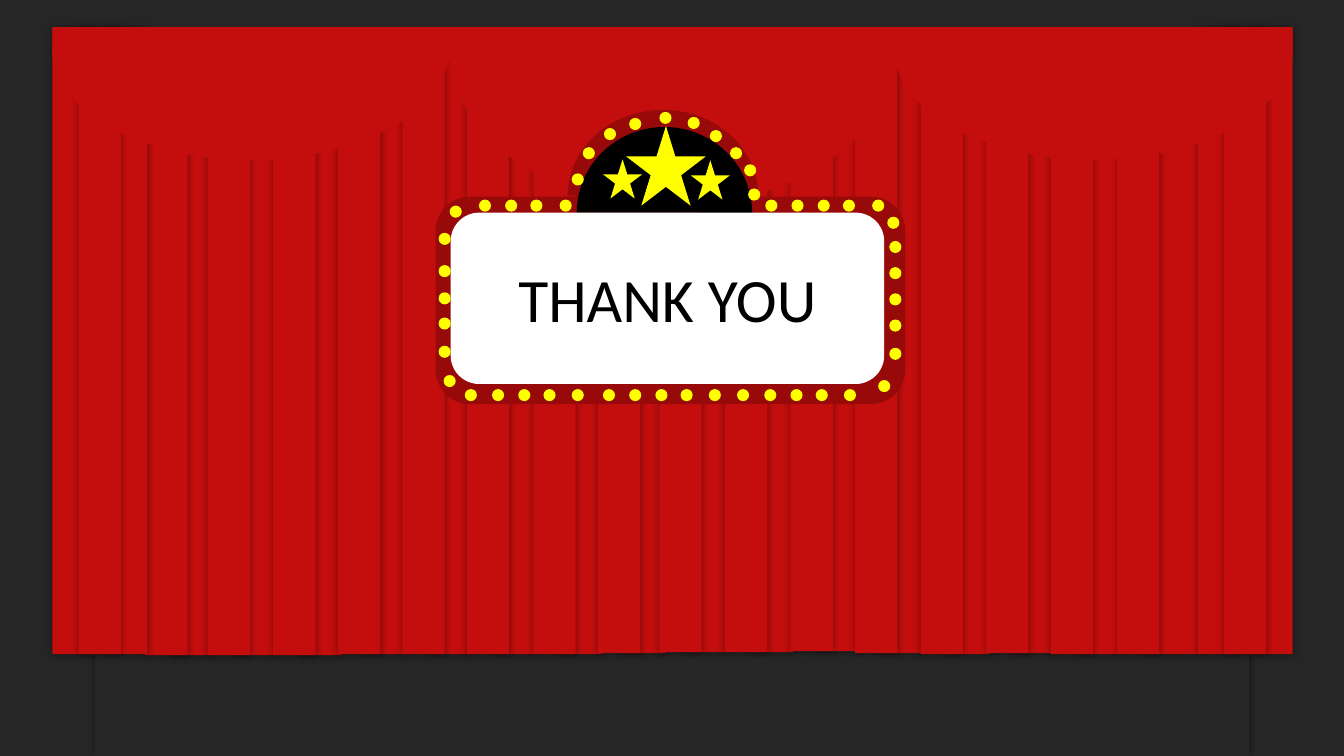
from lxml.etree import SubElement
from pptx import Presentation
from pptx.dml.color import RGBColor
from pptx.enum.shapes import MSO_SHAPE as Shape
from pptx.enum.text import MSO_ANCHOR, MSO_AUTO_SIZE, PP_ALIGN
from pptx.oxml.ns import qn
from pptx.util import Inches, Pt

CHARCOAL = RGBColor(0x26, 0x26, 0x26)
CURTAIN_RED = RGBColor(0xC3, 0x0E, 0x0D)
FRAME_RED = RGBColor(0x98, 0x0A, 0x0A)
BLACK = RGBColor(0, 0, 0)
WHITE = RGBColor(0xFF, 0xFF, 0xFF)
YELLOW = RGBColor(0xFF, 0xFF, 0)

SLIDE_BOX = (0, 0, 13.33, 7.5)
CURTAIN_BOX = (0.52, 0.27, 12.3, 6.22)
SIGN_BOX = (4.32, 1.09, 4.66, 2.92)

HALF_PIE = 108.07
FOLD_WIDTH = 0.42
FOLD_STEP = 0.26
BULB = 0.12

# Left offset and drop of each pair of folds, measured from the curtain's corner
FOLD_PAIRS = [
    (0.92, 0.01), (1.54, 0.01), (2.19, 0.01), (2.83, 0),
    (3.47, 0), (4.11, 0), (4.77, 0), (5.41, -0.01),
    (6.02, -0.02), (6.67, -0.02), (7.32, -0.03), (7.96, -0.01),
    (8.61, 0), (9.26, -0.01), (9.9, 0), (10.56, 0),
]

# Bulb places, measured from the sign's corner
LEFT_BULBS = [1.22, 1.54, 1.81, 2.06, 2.34]
RIGHT_BULBS = [1.3, 1.56, 1.82, 2.08, 2.36]
TOP_BULBS = [0.43, 0.69, 0.94, 1.23, 3.27, 3.53, 3.79, 4.04, 4.33]
BOTTOM_BULBS = [0.29, 0.56, 0.82, 1.07, 1.35, 1.66, 1.92, 2.18,
                2.43, 2.71, 2.99, 3.26, 3.52, 3.77, 4.05]
CORNER_BULBS = [(0.14, 0.95), (0.08, 2.63), (4.39, 2.68), (4.48, 1.06)]
DOME_BULBS = [(1.35, 0.63), (1.46, 0.37), (1.67, 0.18), (1.92, 0.08), (2.22, 0.02),
              (2.5, 0.07), (2.72, 0.2), (2.92, 0.37), (3.06, 0.54), (3.1, 0.78)]


def add_part(slide, kind, box, color):
    part = slide.shapes.add_shape(kind, *map(Inches, box))
    part.shadow.inherit = False
    part.fill.solid()
    part.fill.fore_color.rgb = color
    part.line.fill.background()
    return part


def add_shadow(part, blur, distance=0, direction=0):
    """Give a part a 40 % black outer shadow; lengths in points, direction in degrees."""
    effects = part._element.spPr.find(qn("a:effectLst"))
    shadow = SubElement(effects, qn("a:outerShdw"), {
        "blurRad": str(Pt(blur)), "dist": str(Pt(distance)),
        "dir": str(direction * 60000), "algn": "ctr", "rotWithShape": "0"})
    black = SubElement(shadow, qn("a:srgbClr"), val="000000")
    SubElement(black, qn("a:alpha"), val="40000")


def add_half_disc(slide, box, color, rotation=0):
    half = add_part(slide, Shape.PIE, box, color)
    half.adjustments[0] = 0
    half.adjustments[1] = HALF_PIE
    half.rotation = rotation


def add_fold(slide, left, top, height, width=FOLD_WIDTH):
    fold = add_part(slide, Shape.RECTANGLE, (left, top, width, height), CURTAIN_RED)
    add_shadow(fold, blur=5)


def add_walls(slide, box):
    left, top, width, height = box
    side = 0.96
    bottom = top + height
    for wall_left, wall_top in ((left + width - side, 0.4), (left, 0.48)):
        add_part(slide, Shape.RECTANGLE,
                 (wall_left, wall_top, side, bottom - wall_top), CHARCOAL)
    floor = add_part(slide, Shape.RECTANGLE,
                     (left + 0.94, bottom - 1.61, 11.45, 1.61), CHARCOAL)
    add_shadow(floor, blur=4, distance=3, direction=270)


def add_ceiling(slide, box):
    left, top, width, _ = box
    add_part(slide, Shape.RECTANGLE, (left, top - 0.03, width, 0.58), CHARCOAL)


def add_middle_folds(slide, box):
    left, top, _, height = box
    for pair_left, drop in FOLD_PAIRS:
        width = 0.56 if pair_left == FOLD_PAIRS[-1][0] else FOLD_WIDTH
        add_fold(slide, left + pair_left + FOLD_STEP, top + drop, height, width)
        add_fold(slide, left + pair_left, top + drop, height)


def add_edge_folds(slide, box):
    left, top, width, height = box
    right_start = left + width - FOLD_WIDTH - 2 * FOLD_STEP
    for start in (left, right_start):
        for step in (0, 2, 1):
            add_fold(slide, start + step * FOLD_STEP, top, height)


def add_valance(slide, box):
    """Hang the top band and its three layers of swags."""
    left, top, width, _ = box
    add_part(slide, Shape.RECTANGLE, (left, top, width, 0.32), CURTAIN_RED)
    side, middle = 3.94, 4.41
    axis = top + 0.22
    for side_height, middle_height in ((2.19, 3.11), (1.76, 2.5), (1.3, 1.84)):
        for offset, swag_width, swag_height in (
                (0, side, side_height),
                (side + middle, side, side_height),
                (side, middle, middle_height)):
            swag = (left + offset, axis - swag_height / 2, swag_width, swag_height)
            add_half_disc(slide, swag, CURTAIN_RED)


def add_bulbs(slide, left, top):
    places = [(0.03, y) for y in LEFT_BULBS]
    places += [(4.5, y) for y in RIGHT_BULBS]
    places += [(x, 2.77) for x in BOTTOM_BULBS]
    places += [(x, 0.89) for x in TOP_BULBS]
    for x, y in places + CORNER_BULBS + DOME_BULBS:
        add_part(slide, Shape.OVAL, (left + x, top + y, BULB, BULB), YELLOW)


def add_title(slide, box, wording):
    title = slide.shapes.title
    bounds = dict(zip(("left", "top", "width", "height"), map(Inches, box)))
    for name, value in bounds.items():
        setattr(title, name, value)
    frame = title.text_frame
    frame.text = wording
    frame_format = {"word_wrap": True, "auto_size": MSO_AUTO_SIZE.NONE,
                    "vertical_anchor": MSO_ANCHOR.MIDDLE}
    for name, value in frame_format.items():
        setattr(frame, name, value)
    paragraph = frame.paragraphs[0]
    paragraph.alignment = PP_ALIGN.CENTER
    font = paragraph.runs[0].font
    for name, value in {"name": "Calibri", "size": Pt(44)}.items():
        setattr(font, name, value)
    font.color.rgb = BLACK
    slide.shapes._spTree.append(title._element)  # bring in front of the board


def add_sign(slide, box):
    left, top, width, height = box
    add_part(slide, Shape.ROUNDED_RECTANGLE,
             (left, top + 0.86, width, height - 0.86), FRAME_RED)
    add_half_disc(slide, (left + 1.31, top, 1.89, 1.7), FRAME_RED, 180)
    add_half_disc(slide, (left + 1.4, top + 0.17, 1.74, 1.7), BLACK, 180)
    board = (left + 0.15, top + 1.02, 4.3, 1.7)
    add_part(slide, Shape.ROUNDED_RECTANGLE, board, WHITE)
    for x, y, size in ((1.66, 0.49, 0.39), (2.53, 0.5, 0.39), (1.89, 0.16, 0.79)):
        add_part(slide, Shape.STAR_5_POINT, (left + x, top + y, size, size), YELLOW)
    add_bulbs(slide, left, top)
    add_title(slide, board, "THANK YOU")


def main():
    deck = Presentation()
    deck.slide_width, deck.slide_height = map(Inches, SLIDE_BOX[2:])
    slide = deck.slides.add_slide(deck.slide_layouts[5])
    add_walls(slide, SLIDE_BOX)
    add_middle_folds(slide, CURTAIN_BOX)
    add_ceiling(slide, SLIDE_BOX)
    add_edge_folds(slide, CURTAIN_BOX)
    add_valance(slide, CURTAIN_BOX)
    add_sign(slide, SIGN_BOX)
    deck.save("out.pptx")


if __name__ == "__main__":
    main()
